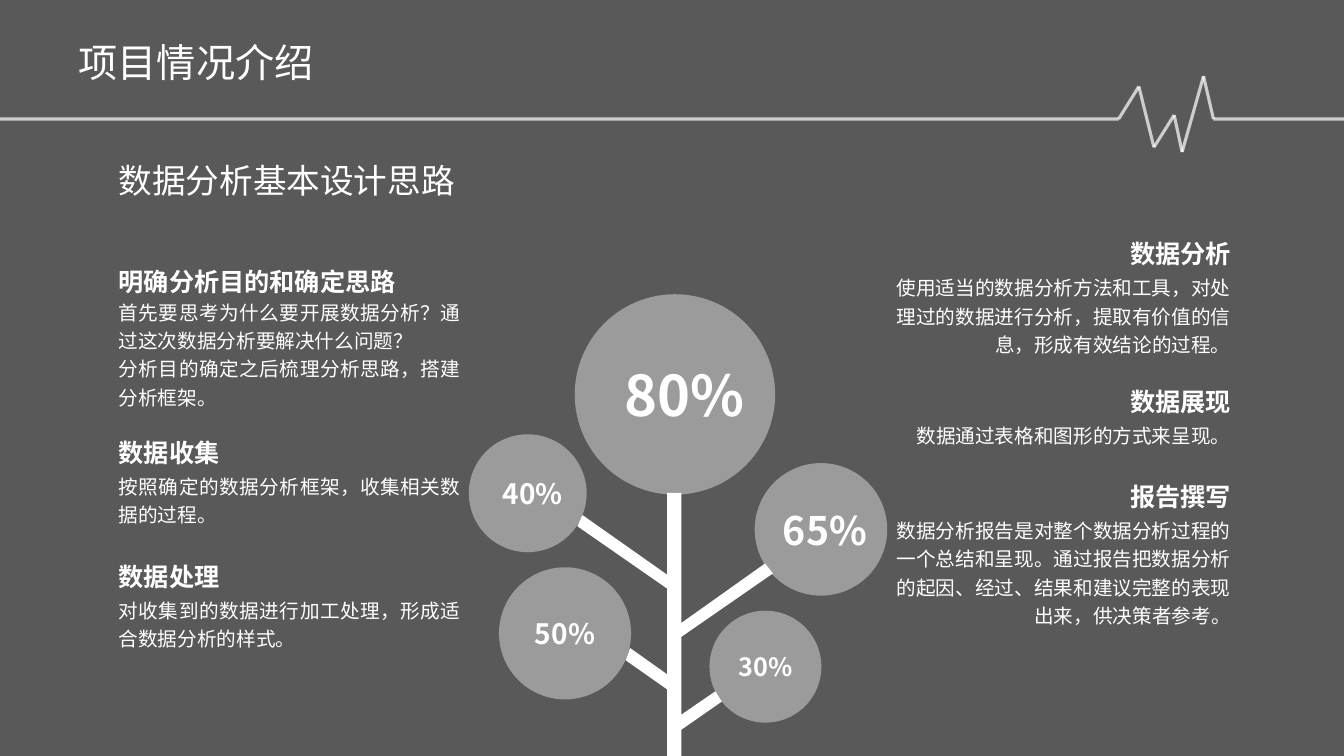
from dataclasses import dataclass
from itertools import pairwise

from lxml import etree
from pptx import Presentation, util as u
from pptx.dml.color import RGBColor
from pptx.enum import lang, shapes, text
from pptx.oxml.ns import qn


@dataclass(frozen=True)
class Theme:
    font: str = "Noto Sans CJK JP"
    ground: str = "595959"
    white: str = "FFFFFF"
    bubble: str = "FEFEFE"
    bubble_opacity: int = 40
    pulse_opacity: int = 70
    pulse_width: float = 2.25
    title_size: int = 28
    subtitle_size: int = 24
    heading_size: int = 18
    detail_size: int = 14
    line_spacing: float = 1.2


@dataclass(frozen=True)
class Box:
    left: float
    top: float
    width: float
    height: float


@dataclass(frozen=True)
class Bubble:
    label: str
    center_x: float
    center_y: float
    diameter: float
    size: int
    nudge: float = 0


@dataclass(frozen=True)
class Topic:
    heading: str
    details: tuple[str, ...]
    top: float
    detail_height: float
    on_right: bool = False
    heading_width: float = 6.22
    detail_offset: float = 0.98


THEME = Theme()
LEFT_EDGE, RIGHT_EDGE, DETAIL_WIDTH, HEADING_HEIGHT = 2.74, 31.27, 9.12, 1.17

SIDE_BUBBLES = [
    Bubble("40%", 13.3, 12.43, 2.97, 20, 0.13),
    Bubble("50%", 14.24, 15.96, 3.33, 20),
    Bubble("65%", 20.69, 13.34, 3.34, 28, 0.1),
    Bubble("30%", 19.29, 16.8, 2.82, 18),
]
TOP_BUBBLE = Bubble("80%", 17.01, 9.94, 5.05, 40, 0.25)

TREE = [
    (1717, 1242), (1717, 1570), (1928, 1420), (1948, 1445), (1717, 1605),
    (1717, 1801), (1803, 1742), (1819, 1768), (1717, 1839), (1717, 1905),
    (1681, 1905), (1681, 1737), (1577, 1664), (1588, 1633), (1681, 1699),
    (1681, 1483), (1455, 1326), (1468, 1298), (1681, 1448), (1681, 1242),
]

PULSE = [
    (0, 3), (28.19, 3), (28.7, 2.18), (29.08, 3.71), (29.59, 2.9),
    (29.79, 3.83), (30.33, 1.92), (30.58, 3), (33.87, 3),
]

TOPICS = [
    Topic("明确分析目的和确定思路",
          ("首先要思考为什么要开展数据分析？通过这次数据分析要解决什么问题？",
           "分析目的确定之后梳理分析思路，搭建分析框架。"),
          6.43, 3.12, heading_width=8.08, detail_offset=0.91),
    Topic("数据收集", ("按照确定的数据分析框架，收集相关数据的过程。",), 10.74, 2.41),
    Topic("数据处理", ("对收集到的数据进行加工处理，形成适合数据分析的样式。",), 13.87, 1.68),
    Topic("数据分析",
          ("使用适当的数据分析方法和工具，对处理过的数据进行分析，提取有价值的信息，形成有效结论的过程。",),
          5.74, 2.41, True),
    Topic("数据展现", ("数据通过表格和图形的方式来呈现。",), 9.47, 0.97, True),
    Topic("报告撰写",
          ("数据分析报告是对整个数据分析过程的一个总结和呈现。通过报告把数据分析的起因、经过、结果和建议完整的表现出来，供决策者参考。",),
          11.86, 3.12, True),
]


def color(value: str) -> RGBColor:
    return RGBColor.from_string(value)


def fade(properties, opacity: int) -> None:
    for tint in properties.iter(qn("a:srgbClr")):
        etree.SubElement(tint, qn("a:alpha"), val=str(opacity * 1000))


def add_run(paragraph, wording: str, size: int, bold: bool = False) -> None:
    run = paragraph.add_run()
    run.text = wording
    font = run.font
    font.name, font.size, font.bold = THEME.font, u.Pt(size), bold
    font.color.rgb = color(THEME.white)
    font.language_id = lang.MSO_LANGUAGE_ID.SIMPLIFIED_CHINESE
    etree.SubElement(run._r.get_or_add_rPr(), qn("a:ea"), typeface=THEME.font)


def write(shape, box: Box, lines: tuple[str, ...], size: int, align,
          bold: bool = False, spacing: float = THEME.line_spacing) -> None:
    shape.left, shape.top = u.Cm(box.left), u.Cm(box.top)
    shape.width, shape.height = u.Cm(box.width), u.Cm(box.height)
    frame = shape.text_frame
    frame.word_wrap = True
    frame.auto_size = text.MSO_AUTO_SIZE.NONE
    frame.vertical_anchor = text.MSO_ANCHOR.TOP
    for index, line in enumerate(lines):
        paragraph = frame.add_paragraph() if index else frame.paragraphs[0]
        paragraph.alignment, paragraph.line_spacing = align, spacing
        paragraph.space_before = u.Pt(0)
        add_run(paragraph, line, size, bold)


def draw_bubble(slide, bubble: Bubble) -> None:
    radius = bubble.diameter / 2
    circle = slide.shapes.add_shape(
        shapes.MSO_SHAPE.OVAL, u.Cm(bubble.center_x - radius), u.Cm(bubble.center_y - radius),
        u.Cm(bubble.diameter), u.Cm(bubble.diameter))
    circle.shadow.inherit = False
    circle.fill.solid()
    circle.fill.fore_color.rgb = color(THEME.bubble)
    circle.line.fill.background()
    fade(circle.element.spPr, THEME.bubble_opacity)
    frame = circle.text_frame
    frame.margin_left = u.Cm(2 * bubble.nudge)
    frame.margin_right = frame.margin_top = frame.margin_bottom = 0
    frame.vertical_anchor = text.MSO_ANCHOR.MIDDLE
    frame.paragraphs[0].alignment = text.PP_ALIGN.CENTER
    add_run(frame.paragraphs[0], bubble.label, bubble.size, True)


def draw_tree(slide) -> None:
    outline = slide.shapes.build_freeform(*TREE[0], scale=u.Cm(0.01))
    outline.add_line_segments(TREE[1:], close=True)
    tree = outline.convert_to_shape()
    tree.shadow.inherit = False
    tree.fill.solid()
    tree.fill.fore_color.rgb = color(THEME.white)
    tree.line.fill.background()


def draw_pulse(slide) -> None:
    for start, end in pairwise(PULSE):
        beat = slide.shapes.add_connector(
            shapes.MSO_CONNECTOR.STRAIGHT, *(u.Cm(value) for value in start + end))
        beat.line.color.rgb = color(THEME.white)
        beat.line.width = u.Pt(THEME.pulse_width)
        properties = beat.element.spPr
        fade(properties, THEME.pulse_opacity)
        etree.SubElement(properties, qn("a:effectLst"))


def draw_topic(slide, topic: Topic) -> None:
    align = text.PP_ALIGN.RIGHT if topic.on_right else text.PP_ALIGN.JUSTIFY
    parts = [
        ((topic.heading,), topic.top, topic.heading_width, HEADING_HEIGHT,
         THEME.heading_size, True),
        (topic.details, topic.top + topic.detail_offset, DETAIL_WIDTH, topic.detail_height,
         THEME.detail_size, False),
    ]
    for lines, top, width, height, size, bold in parts:
        left = RIGHT_EDGE - width if topic.on_right else LEFT_EDGE
        write(slide.shapes.add_textbox(0, 0, 0, 0), Box(left, top, width, height),
              lines, size, align, bold)


def main() -> None:
    deck = Presentation()
    deck.slide_width, deck.slide_height = u.Cm(33.87), u.Cm(19.05)
    slide = deck.slides.add_slide(deck.slide_layouts[1])
    slide.background.fill.solid()
    slide.background.fill.fore_color.rgb = color(THEME.ground)

    write(slide.shapes.title, Box(1.73, 0.84, 9.86, 1.45), ("项目情况介绍",),
          THEME.title_size, text.PP_ALIGN.LEFT, spacing=1.0)
    subtitle = slide.placeholders[1]
    write(subtitle, Box(LEFT_EDGE, 3.71, 9.65, 1.47), ("数据分析基本设计思路",),
          THEME.subtitle_size, text.PP_ALIGN.JUSTIFY)
    layout = subtitle.text_frame.paragraphs[0]._p.get_or_add_pPr()
    layout.set("marL", "0")
    layout.set("indent", "0")
    etree.SubElement(layout, qn("a:buNone"))

    for bubble in SIDE_BUBBLES:
        draw_bubble(slide, bubble)
    draw_tree(slide)
    draw_bubble(slide, TOP_BUBBLE)
    draw_pulse(slide)
    for topic in TOPICS:
        draw_topic(slide, topic)
    deck.save("out.pptx")


if __name__ == "__main__":
    main()
